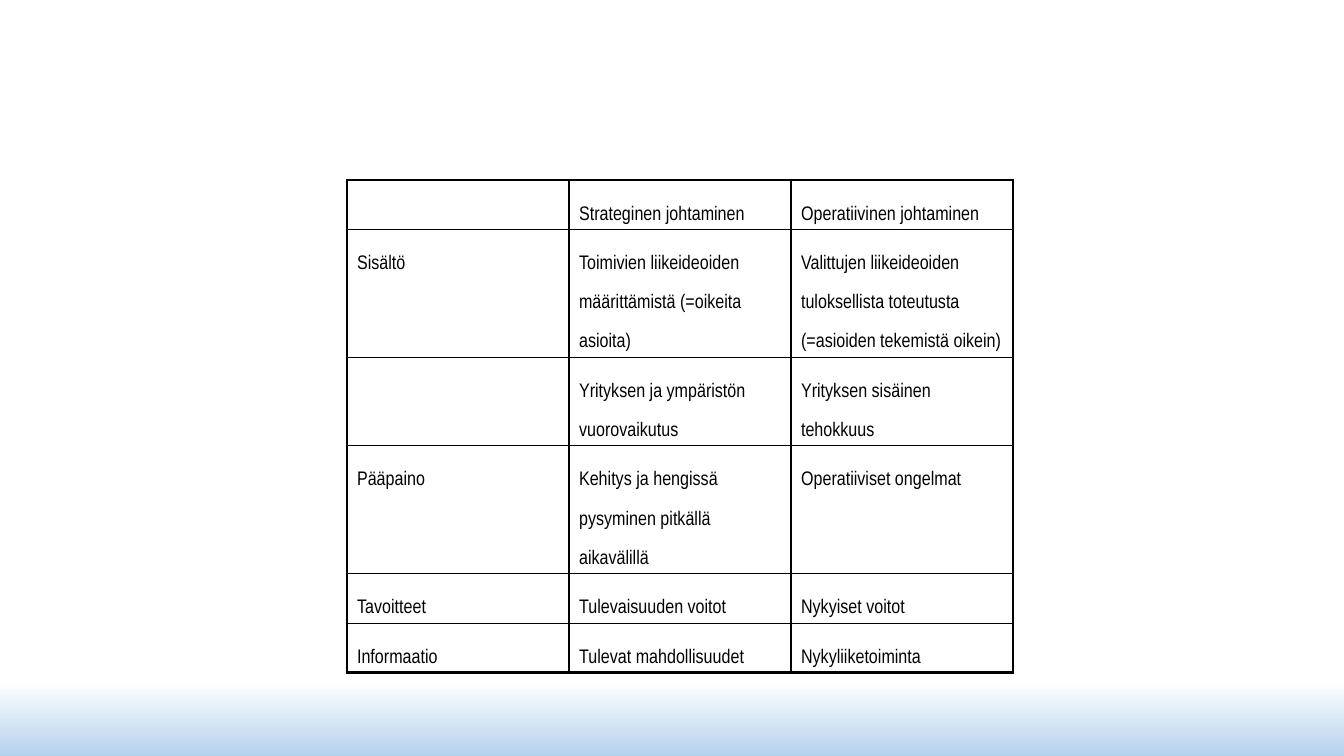
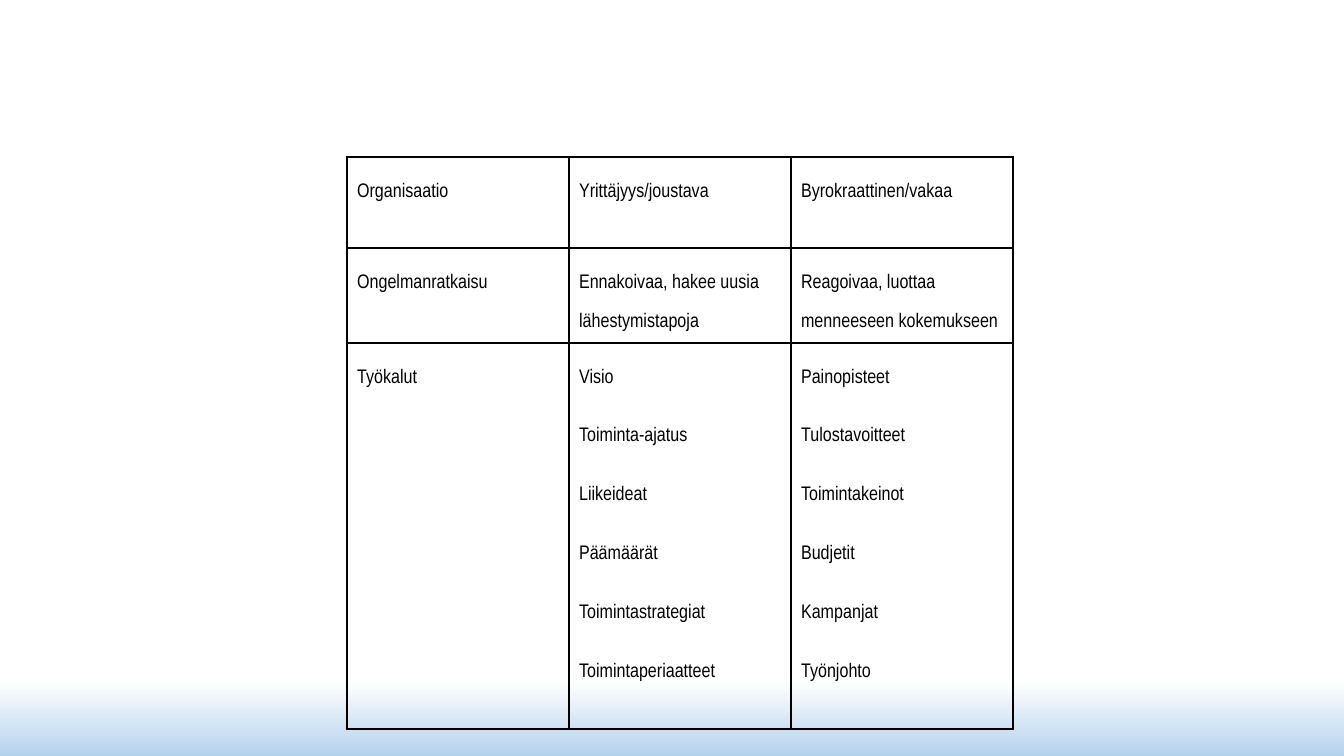
"""Build two table slides comparing strategic and operative management."""
from dataclasses import dataclass

from lxml import etree
from pptx import Presentation
from pptx.dml.color import RGBColor
from pptx.oxml.ns import qn
from pptx.util import Pt

EMU_PER_PX = 914400 / 100.8
BLANK_LAYOUT = 6


@dataclass(frozen=True)
class Theme:
    font: str = "Arial Narrow"
    text_size: int = 14
    line_spacing: int = 28
    space_before: int = 14
    ink: str = "000000"
    background_top: str = "FFFFFF"
    background_bottom: str = "B5D2EC"
    outer_border: float = 2.25
    inner_border: float = 1


THEME = Theme()
SLIDE_WIDTH, SLIDE_HEIGHT = 1344, 756
TABLE_LEFT, COLUMN_WIDTH = 347, 222

FOCUS_TOP = 180
FOCUS_ROW_HEIGHTS = [49, 128, 88, 128, 49, 49]
FOCUS_ROWS = [
    ["", "Strateginen johtaminen", "Operatiivinen johtaminen"],
    ["Sisältö", "Toimivien liikeideoiden määrittämistä (=oikeita asioita)",
     "Valittujen liikeideoiden tuloksellista toteutusta (=asioiden tekemistä oikein)"],
    ["", "Yrityksen ja ympäristön vuorovaikutus", "Yrityksen sisäinen tehokkuus"],
    ["Pääpaino", "Kehitys ja hengissä pysyminen pitkällä aikavälillä",
     "Operatiiviset ongelmat"],
    ["Tavoitteet", "Tulevaisuuden voitot", "Nykyiset voitot"],
    ["Informaatio", "Tulevat mahdollisuudet", "Nykyliiketoiminta"],
]

TOOLS_TOP = 157
TOOLS_ROW_HEIGHTS = [91, 95, 386]
TOOLS_ROWS = [
    ["Organisaatio", "Yrittäjyys/joustava", "Byrokraattinen/vakaa"],
    ["Ongelmanratkaisu", "Ennakoivaa, hakee uusia lähestymistapoja",
     "Reagoivaa, luottaa menneeseen kokemukseen"],
    ["Työkalut",
     "Visio\nToiminta-ajatus\nLiikeideat\nPäämäärät\nToimintastrategiat\nToimintaperiaatteet",
     "Painopisteet\nTulostavoitteet\nToimintakeinot\nBudjetit\nKampanjat\nTyönjohto"],
]


def px(length):
    return round(length * EMU_PER_PX)


def style_background(master):
    fill = master.background.fill
    fill.gradient()
    fill.gradient_angle = 270
    stops = [(0.9, THEME.background_top), (1, THEME.background_bottom)]
    for stop, (position, color) in zip(fill.gradient_stops, stops):
        stop.position = position
        stop.color.rgb = RGBColor.from_string(color)


def add_border(cell, side, width):
    properties = cell._tc.get_or_add_tcPr()
    line = etree.SubElement(properties, qn(f"a:ln{side}"), w=str(Pt(width)))
    fill = etree.SubElement(line, qn("a:solidFill"))
    etree.SubElement(fill, qn("a:srgbClr"), val=THEME.ink)


def fill_cell(cell, text):
    cell.text_frame.text = text
    for paragraph in cell.text_frame.paragraphs:
        paragraph.line_spacing = Pt(THEME.line_spacing)
        paragraph.space_before = Pt(THEME.space_before)
        paragraph.font.size = Pt(THEME.text_size)
        for run in paragraph.runs:
            run.font.name = THEME.font
            run.font.size = Pt(THEME.text_size)
            run.font.color.rgb = RGBColor.from_string(THEME.ink)


def add_bordered_table(slide, top, row_heights, rows):
    column_count = len(rows[0])
    frame = slide.shapes.add_table(
        len(rows), column_count, px(TABLE_LEFT), px(top),
        px(COLUMN_WIDTH * column_count), px(sum(row_heights)))
    table = frame.table
    table.first_row = False
    table.horz_banding = False
    for column in table.columns:
        column.width = px(COLUMN_WIDTH)
    for row_index, (texts, height) in enumerate(zip(rows, row_heights)):
        table.rows[row_index].height = px(height)
        for column_index, text in enumerate(texts):
            cell = table.cell(row_index, column_index)
            fill_cell(cell, text)
            outer_sides = {
                "L": column_index == 0,
                "R": column_index == column_count - 1,
                "T": row_index == 0,
                "B": row_index == len(rows) - 1,
            }
            for side, is_outer in outer_sides.items():
                width = THEME.outer_border if is_outer else THEME.inner_border
                add_border(cell, side, width)
            cell.fill.background()


def main():
    presentation = Presentation()
    presentation.slide_width = px(SLIDE_WIDTH)
    presentation.slide_height = px(SLIDE_HEIGHT)
    style_background(presentation.slide_master)
    layout = presentation.slide_layouts[BLANK_LAYOUT]
    for top, row_heights, rows in (
        (FOCUS_TOP, FOCUS_ROW_HEIGHTS, FOCUS_ROWS),
        (TOOLS_TOP, TOOLS_ROW_HEIGHTS, TOOLS_ROWS),
    ):
        slide = presentation.slides.add_slide(layout)
        add_bordered_table(slide, top, row_heights, rows)
    presentation.save("out.pptx")


if __name__ == "__main__":
    main()
